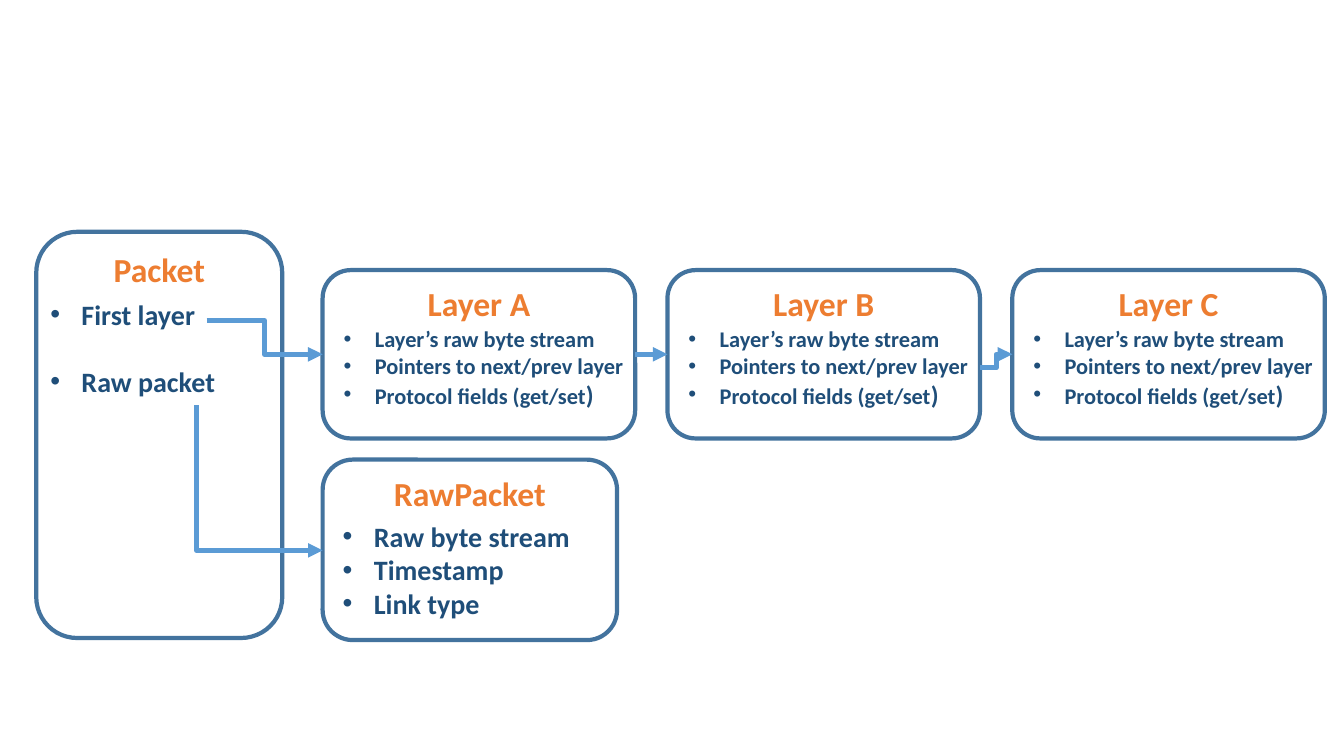
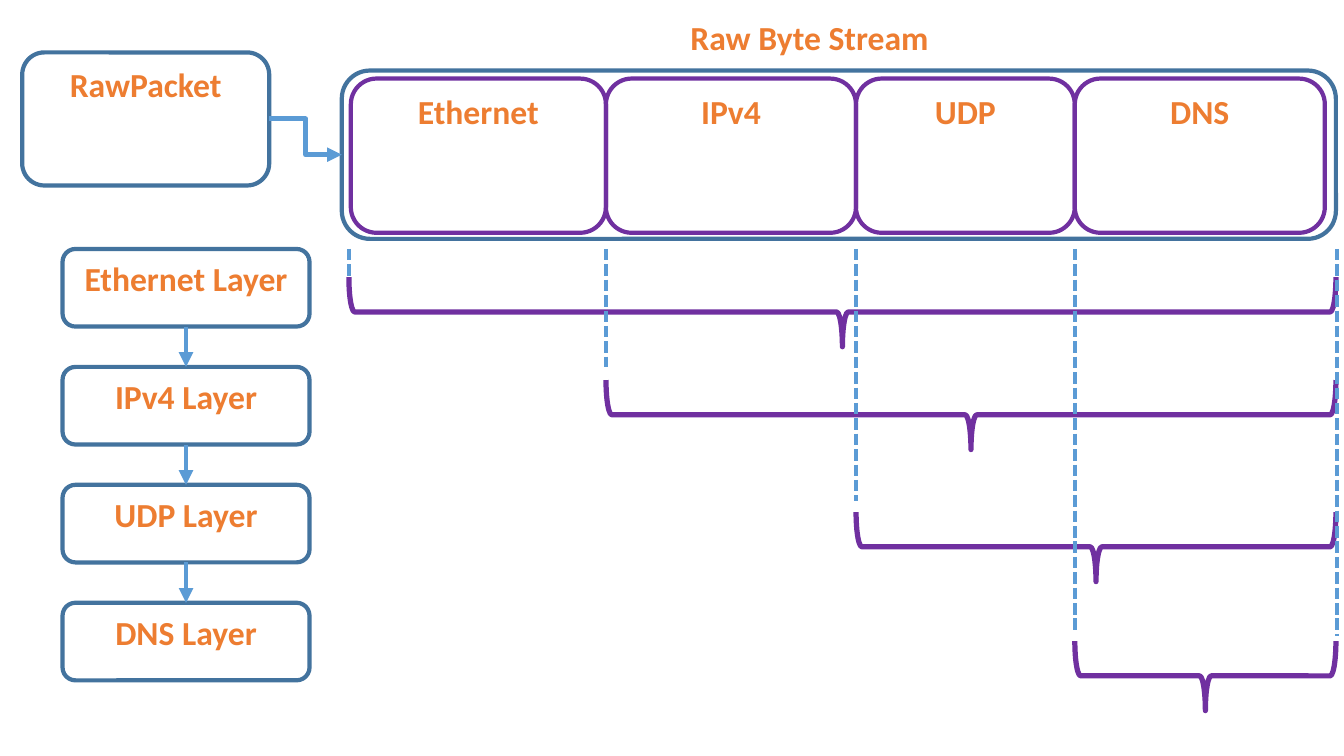
import dataclasses
import itertools

import pptx
import pptx.dml.color
import pptx.enum.dml
import pptx.enum.shapes
import pptx.enum.text
import pptx.oxml.ns
import pptx.util
from lxml import etree

Inches = pptx.util.Inches
Pt = pptx.util.Pt
SHAPE = pptx.enum.shapes.MSO_SHAPE
CONNECTOR = pptx.enum.shapes.MSO_CONNECTOR
ALIGN = pptx.enum.text.PP_ALIGN
TOP, LEFT, BOTTOM, RIGHT = range(4)  # connection sites of a box


@dataclasses.dataclass(frozen=True)
class Theme:
    font: str = "Calibri"
    heading: str = "ED7D31"
    body: str = "1F4E79"
    box: str = "43739E"
    segment: str = "7030A0"
    link: str = "5B9BD5"
    heading_size: float = 24
    body_size: float = 20
    small_size: float = 16
    paren_size: float = 18
    box_line: float = 3
    brace_line: float = 3.75
    arrow_line: float = 3.5
    dash_line: float = 2.75
    indent: float = 0.31


THEME = Theme()

# Content of slide 1: a paragraph is a string or a list of (text, size) runs
PACKET = ("Packet", (0.36, 2.3, 2.44, 4.03))
PACKET_FIELDS = (["First layer", "Raw packet"], (0.4, 2.9, 2.42, 1.38))
RAW_PACKET = ("RawPacket", (3.2, 4.56, 2.92, 1.79))
RAW_FIELDS = (["Raw byte stream", "Timestamp", "Link type"], (3.3, 5.1, 2.82, 1.11))
LAYERS = ["Layer A", "Layer B", "Layer C"]
LAYER_FIELDS = [
    "Layer’s raw byte stream",
    "Pointers to next/prev layer",
    [("Protocol fields (get/set", THEME.small_size), (")", THEME.paren_size)],
]
LAYER_LEFT, LAYER_TOP, LAYER_STEP = 3.2, 2.68, 3.42
FIRST_LAYER_LINK = (2.05, 3.18)
RAW_PACKET_LINK = (1.95, 4.02), (3.2, 5.46)

# Content of slide 2
STREAM_TITLE = ("Raw Byte Stream", (6.48, 0.09, 3.1, 0.64))
STREAM_FRAME = (3.39, 0.7, 9.86, 1.67)
SOURCE = ("RawPacket", (0.22, 0.52, 2.45, 1.32))
PROTOCOLS = ["Ethernet", "IPv4", "UDP", "DNS"]
SEGMENT_EDGES = [3.48, 6.01, 8.49, 10.66, 13.14]
SEGMENT_TOP, SEGMENT_HEIGHT = 0.78, 1.53
STACK_LEFT, STACK_TOP, STACK_STEP = 0.62, 2.47, 1.17
STACK_SIZE = (2.45, 0.77)
BRACES = [(3.46, 2.75), (6.01, 3.77), (8.49, 5.08), (10.66, 6.36)]  # left, top
BRACE_RIGHT, BRACE_DEPTH = 13.25, 0.69
DASH_TOP = 2.47
DASHES = [(3.46, 2.75), (6.01, 3.64), (8.49, 4.97), (10.66, 6.27), (13.26, 6.31)]  # x, bottom


def rgb(color):
    return pptx.dml.color.RGBColor.from_string(color)


def write(frame, paragraphs, *, size, color, align=ALIGN.LEFT, bullets=False, gap=0):
    """Fill a text frame; gap is the space in points between paragraphs."""
    frame.word_wrap = True
    frame.vertical_anchor = pptx.enum.text.MSO_ANCHOR.TOP
    for index, content in enumerate(paragraphs):
        paragraph = frame.add_paragraph() if index else frame.paragraphs[0]
        paragraph.alignment = align
        if index and gap:
            paragraph.space_before = Pt(gap)
        if bullets:
            props = paragraph._p.get_or_add_pPr()
            props.set("marL", str(Inches(THEME.indent)))
            props.set("indent", str(-Inches(THEME.indent)))
            for tag, key, value in (("a:buFont", "typeface", "Arial"), ("a:buChar", "char", "•")):
                etree.SubElement(props, pptx.oxml.ns.qn(tag)).set(key, value)
        runs = [(content, size)] if isinstance(content, str) else content
        for text, run_size in runs:
            run = paragraph.add_run()
            run.text = text
            run.font.name = THEME.font
            run.font.size = Pt(run_size)
            run.font.bold = True
            run.font.color.rgb = rgb(color)


def outline(slide, kind, at, color, width):
    """Add an unfilled shape; without a colour it has no line."""
    shape = slide.shapes.add_shape(kind, *map(Inches, at))
    shape.shadow.inherit = False
    shape.fill.background()
    if color:
        shape.line.color.rgb = rgb(color)
        shape.line.width = Pt(width)
    else:
        shape.line.fill.background()
    return shape


def box(slide, title, at, color=THEME.box):
    shape = outline(slide, SHAPE.ROUNDED_RECTANGLE, at, color, THEME.box_line)
    if title:
        write(shape.text_frame, [title], size=THEME.heading_size,
              color=THEME.heading, align=ALIGN.CENTER)
    return shape


def field_list(slide, fields, at, size=THEME.body_size, gap=0):
    textbox = slide.shapes.add_textbox(*map(Inches, at))
    write(textbox.text_frame, fields, size=size, color=THEME.body, bullets=True, gap=gap)
    textbox.text_frame.auto_size = pptx.enum.text.MSO_AUTO_SIZE.SHAPE_TO_FIT_TEXT
    return textbox


def connect(slide, kind, start, end, width=THEME.arrow_line, arrow=True):
    """Join two ends, each a point or a (shape, site) pair."""
    line = slide.shapes.add_connector(kind, 0, 0, 0, 0)
    line.begin_x = line.begin_y = line.end_x = line.end_y = 0
    if isinstance(start[0], (int, float)):
        line.begin_x, line.begin_y = map(Inches, start)
    else:
        line.begin_connect(*start)
    if isinstance(end[0], (int, float)):
        line.end_x, line.end_y = map(Inches, end)
    else:
        line.end_connect(*end)
    line.line.color.rgb = rgb(THEME.link)
    line.line.width = Pt(width)
    if arrow:
        tail = etree.SubElement(line.line._get_or_add_ln(), pptx.oxml.ns.qn("a:tailEnd"))
        tail.set("type", "triangle")
    etree.SubElement(line._element.spPr, pptx.oxml.ns.qn("a:effectLst"))
    return line


def connect_down_then_right(slide, start, end):
    """One-corner elbow: a quarter turn of a mirrored bentConnector2."""
    (x1, y1), (x2, y2) = start, end
    mid_x, mid_y = (x1 + x2) / 2, (y1 + y2) / 2
    half_long, half_short = (y2 - y1) / 2, (x2 - x1) / 2
    line = connect(slide, CONNECTOR.ELBOW, (mid_x + half_long, mid_y - half_short),
                   (mid_x - half_long, mid_y + half_short))
    properties = line._element.spPr
    properties.find(pptx.oxml.ns.qn("a:xfrm")).set("rot", "16200000")
    properties.find(pptx.oxml.ns.qn("a:prstGeom")).set("prst", "bentConnector2")


def brace(slide, left, top):
    """Downward brace from left to the end of the stream."""
    span = BRACE_RIGHT - left
    at = ((left + BRACE_RIGHT - BRACE_DEPTH) / 2, top + (BRACE_DEPTH - span) / 2,
          BRACE_DEPTH, span)
    outline(slide, SHAPE.RIGHT_BRACE, at, THEME.segment, THEME.brace_line).rotation = 90


def build_packet_slide(slide):
    # Packet and its raw packet
    box(slide, *RAW_PACKET)
    field_list(slide, *RAW_FIELDS)
    box(slide, *PACKET)
    field_list(slide, *PACKET_FIELDS, gap=24)

    # Chain of layers
    layer_boxes, layer_fields = [], []
    for index, name in enumerate(LAYERS):
        left = LAYER_LEFT + index * LAYER_STEP
        layer_boxes.append(box(slide, name, (left, LAYER_TOP, 3.1, 1.67)))
        layer_fields.append(field_list(slide, LAYER_FIELDS, (left + 0.11, LAYER_TOP + 0.5, 2.99, 0.94),
                                       size=THEME.small_size))

    # Pointers
    layer_a, layer_b, layer_c = layer_boxes
    for start, end in (((layer_a, RIGHT), layer_b),
                       ((layer_fields[1], RIGHT), layer_c),
                       (FIRST_LAYER_LINK, layer_a)):
        connect(slide, CONNECTOR.ELBOW, start, (end, LEFT))
    connect_down_then_right(slide, *RAW_PACKET_LINK)


def build_stream_slide(slide):
    # Byte stream divided by protocol
    for name, (left, right) in zip(PROTOCOLS, itertools.pairwise(SEGMENT_EDGES)):
        box(slide, name, (left, SEGMENT_TOP, right - left, SEGMENT_HEIGHT), THEME.segment)
    box(slide, *STREAM_TITLE, color=None)
    stream = box(slide, None, STREAM_FRAME)

    # Stack of layers
    stack = [box(slide, f"{name} Layer", (STACK_LEFT, STACK_TOP + index * STACK_STEP, *STACK_SIZE))
             for index, name in enumerate(PROTOCOLS)]
    for upper, lower in itertools.pairwise(stack):
        connect(slide, CONNECTOR.STRAIGHT, (upper, BOTTOM), (lower, TOP))

    # Part of the stream that each layer covers
    for left, top in BRACES:
        brace(slide, left, top)
    for x, bottom in DASHES:
        guide = connect(slide, CONNECTOR.STRAIGHT, (x, DASH_TOP), (x, bottom),
                        width=THEME.dash_line, arrow=False)
        guide.line.dash_style = pptx.enum.dml.MSO_LINE.SQUARE_DOT

    # Raw packet pointing at the stream
    source = box(slide, *SOURCE)
    connect(slide, CONNECTOR.ELBOW, (source, RIGHT), (stream, LEFT))


deck = pptx.Presentation()
deck.slide_width, deck.slide_height = Inches(13.33), Inches(7.5)
blank = deck.slide_layouts[6]
for build in (build_packet_slide, build_stream_slide):
    build(deck.slides.add_slide(blank))
deck.save("out.pptx")
